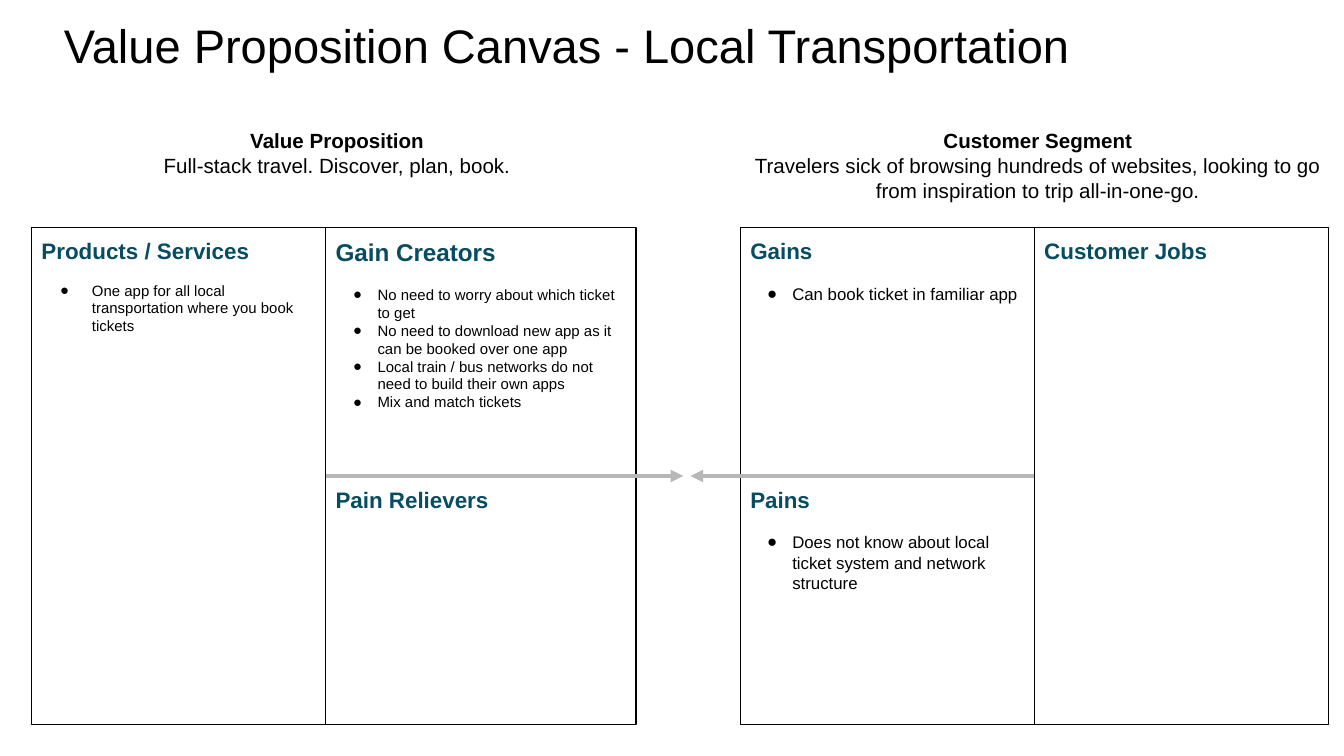
from lxml import etree
from pptx import Presentation
from pptx.dml.color import RGBColor
from pptx.enum.shapes import MSO_CONNECTOR, MSO_SHAPE
from pptx.enum.text import MSO_ANCHOR, PP_ALIGN
from pptx.oxml.ns import qn
from pptx.util import Pt

RECTANGLE = MSO_SHAPE.RECTANGLE
STRAIGHT = MSO_CONNECTOR.STRAIGHT
TOP, MIDDLE = MSO_ANCHOR.TOP, MSO_ANCHOR.MIDDLE
LEFT, CENTER = PP_ALIGN.LEFT, PP_ALIGN.CENTER
RIGHT_SIDE, LEFT_SIDE = 3, 1

BLACK = RGBColor(0x00, 0x00, 0x00)
TEAL = RGBColor(0x08, 0x4C, 0x61)
GREY = RGBColor(0xB7, 0xB7, 0xB7)
FONT = "Arial"
INSET = 5.25
LINE_HEIGHT = 1.15


def add_run(paragraph, text, size, color=BLACK, bold=False):
    run = paragraph.add_run()
    run.text = text
    run.font.name = FONT
    run.font.size = Pt(size)
    run.font.bold = bold
    run.font.color.rgb = color


def add_bullet(paragraph, indent, hanging):
    properties = paragraph._p.get_or_add_pPr()
    properties.set("marL", str(Pt(indent)))
    properties.set("indent", str(-Pt(hanging)))
    color = etree.SubElement(properties, qn("a:buClr"))
    etree.SubElement(color, qn("a:srgbClr"), val=str(BLACK))
    etree.SubElement(properties, qn("a:buFont"), typeface=FONT)
    etree.SubElement(properties, qn("a:buChar"), char="●")


def prepare_frame(shape, anchor=TOP, inset_x=INSET, inset_y=INSET):
    frame = shape.text_frame
    frame.word_wrap = True
    frame.vertical_anchor = anchor
    frame.margin_left = frame.margin_right = Pt(inset_x)
    frame.margin_top = frame.margin_bottom = Pt(inset_y)
    return frame


def add_title(slide, box, text):
    title = slide.shapes.add_textbox(*map(Pt, box))
    frame = prepare_frame(title, MIDDLE, 7.2, 3.6)
    add_run(frame.paragraphs[0], text, 25.2)


def add_summary(slide, box, heading, statement):
    summary = slide.shapes.add_textbox(*map(Pt, box))
    frame = prepare_frame(summary)
    lines = (frame.paragraphs[0], heading, True), (frame.add_paragraph(), statement, False)
    for paragraph, text, bold in lines:
        paragraph.alignment = CENTER
        add_run(paragraph, text, 11, bold=bold)


def add_panel(slide, box, heading, items=(), heading_size=12, item_size=9,
              gap_size=9, indent=22.5, hanging=13.5):
    """Outlined panel with a heading and a bullet list below a one-line gap."""
    panel = slide.shapes.add_shape(RECTANGLE, *map(Pt, box))
    panel.shadow.inherit = False
    panel.fill.background()
    panel.line.color.rgb = BLACK
    panel.line.width = Pt(0.75)
    frame = prepare_frame(panel)
    frame.paragraphs[0].alignment = LEFT
    add_run(frame.paragraphs[0], heading, heading_size, TEAL, True)
    for index, item in enumerate(items):
        paragraph = frame.add_paragraph()
        paragraph.alignment = LEFT
        add_bullet(paragraph, indent, hanging)
        if index == 0:
            paragraph.space_before = Pt(gap_size * LINE_HEIGHT)
        add_run(paragraph, item, item_size)
    return panel


def add_fit_arrow(slide, panel, side, start_x, end_x, y):
    arrow = slide.shapes.add_connector(STRAIGHT, Pt(start_x), Pt(y), Pt(end_x), Pt(y))
    arrow.begin_connect(panel, side)
    arrow.line.color.rgb = GREY
    arrow.line.width = Pt(2.25)
    etree.SubElement(arrow.line._get_or_add_ln(), qn("a:tailEnd"), type="triangle")
    etree.SubElement(arrow._element.spPr, qn("a:effectLst"))


def add_value_proposition(slide, left, top, width, height, tip_x):
    products_width = 157.5
    creators_left = left + products_width
    creators_width = width - products_width
    half = height / 2
    products = add_panel(
        slide, (left, top, products_width, height), "Products / Services",
        ["One app for all local transportation where you book tickets"],
        item_size=8, gap_size=8, indent=27, hanging=17)
    add_panel(slide, (creators_left, top + half, creators_width, half), "Pain Relievers")
    add_panel(
        slide, (creators_left, top, creators_width, half), "Gain Creators",
        ["No need to worry about which ticket to get",
         "No need to download new app as it can be booked over one app",
         "Local train / bus networks do not need to build their own apps",
         "Mix and match tickets"],
        heading_size=13, item_size=8, hanging=13)
    add_fit_arrow(slide, products, RIGHT_SIDE, creators_left, tip_x, top + half)


def add_customer_segment(slide, left, top, width, height, tip_x):
    column = width / 2
    half = height / 2
    add_panel(slide, (left, top + half, column, half), "Pains",
              ["Does not know about local ticket system and network structure"])
    add_panel(slide, (left, top, column, half), "Gains",
              ["Can book ticket in familiar app"])
    jobs = add_panel(slide, (left + column, top, column, height), "Customer Jobs")
    add_fit_arrow(slide, jobs, LEFT_SIDE, left + column, tip_x, top + half)


def main():
    presentation = Presentation()
    presentation.slide_width = Pt(720)
    presentation.slide_height = Pt(405)
    slide = presentation.slides.add_slide(presentation.slide_layouts[6])

    # Title and summaries
    add_title(slide, (27.2, 12.2, 554.4, 23),
              "Value Proposition Canvas - Local Transportation")
    add_summary(slide, (16.9, 63.5, 327.5, 46), "Value Proposition",
                "Full-stack travel. Discover, plan, book.")
    add_summary(slide, (392.3, 63.5, 327.5, 46), "Customer Segment",
                "Travelers sick of browsing hundreds of websites, "
                "looking to go from inspiration to trip all-in-one-go.")

    # Two halves of the canvas, with arrows meeting between them
    top, height = 121.8, 266.4
    add_value_proposition(slide, 17, top, 323.7, height, tip_x=366)
    add_customer_segment(slide, 396.7, top, 315, height, tip_x=370)

    presentation.save("out.pptx")


if __name__ == "__main__":
    main()
